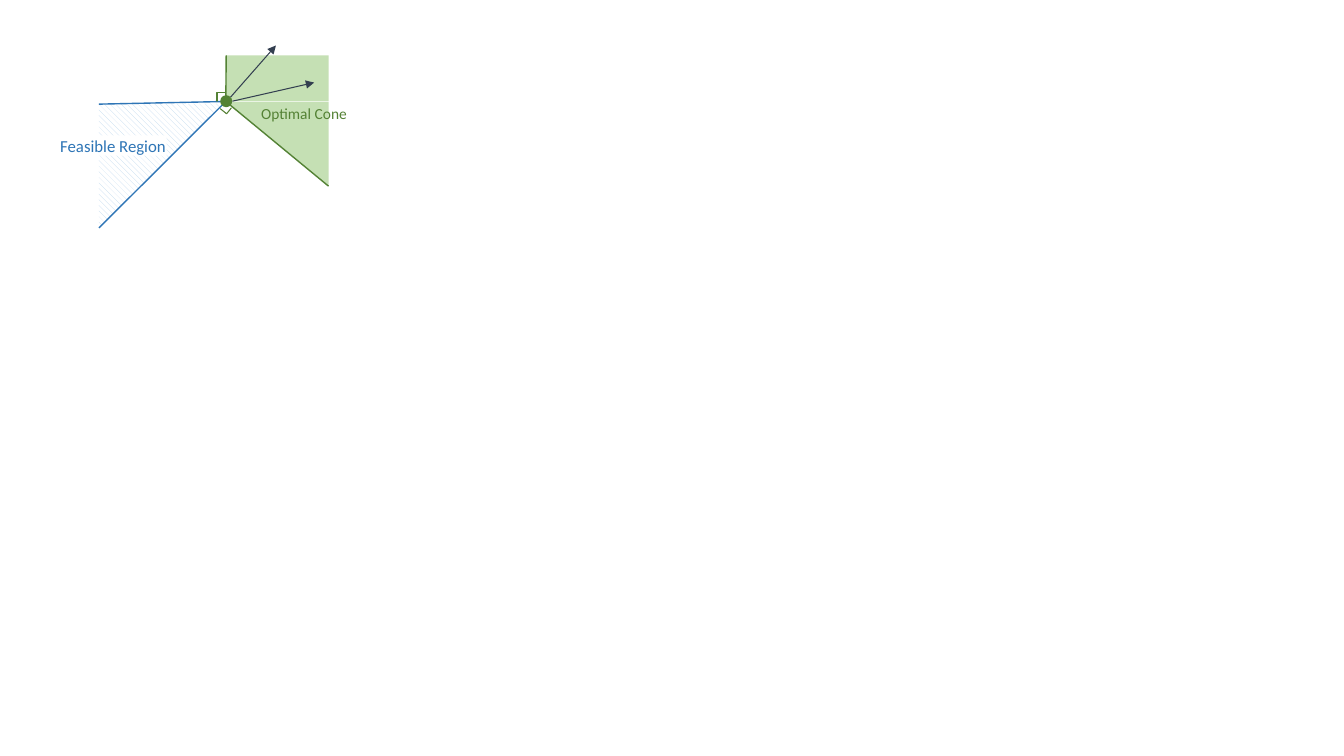
from lxml import etree
from pptx import Presentation
from pptx.dml.color import RGBColor
from pptx.enum import dml, shapes, text
from pptx.oxml import ns
from pptx.util import Pt

BLUE, PALE_BLUE = "2E75B6", "BDD7EE"
GREEN, PALE_GREEN = "548235", "C5E0B4"
NAVY, RED, WHITE = "333F50", "C00000", "FFFFFF"
KIND = shapes.MSO_SHAPE


def color(value):
    return RGBColor.from_string(value)


class Diagram:
    """Holds the font and the group on the current slide."""

    font = "Calibri"

    def __init__(self, page):
        self.items = page.shapes.add_group_shape().shapes

    def shape(self, kind, left, top, width, height, fill, line=None, turn=0):
        item = self.items.add_shape(kind, Pt(left), Pt(top), Pt(width), Pt(height))
        item.shadow.inherit = False
        item.rotation = turn
        item.fill.solid()
        item.fill.fore_color.rgb = color(fill)
        if line:
            item.line.color.rgb = color(line)
            item.line.width = Pt(0.75)
        else:
            item.line.fill.background()
        return item

    def hatch(self, item, front, back):
        item.fill.patterned()
        item.fill.pattern = dml.MSO_PATTERN.WIDE_DOWNWARD_DIAGONAL
        item.fill.fore_color.rgb = color(front)
        item.fill.back_color.rgb = color(back)

    def right_angle(self, left, top, width, height, turn):
        """Draw an L-shaped mark whose arms have no thickness."""
        mark = self.shape(KIND.RECTANGLE, left, top, width, height, RED, GREEN, turn)
        geometry = mark._element.spPr.find(ns.qn("a:prstGeom"))
        geometry.set("prst", "corner")
        guides = geometry.find(ns.qn("a:avLst"))
        for name in ("adj1", "adj2"):
            etree.SubElement(guides, ns.qn("a:gd"), name=name, fmla="val 0")

    def line(self, start, end, ink, width=1, arrow=False):
        item = self.items.add_connector(
            shapes.MSO_CONNECTOR.STRAIGHT, *(Pt(value) for value in (*start, *end)))
        item.line.color.rgb = color(ink)
        item.line.width = Pt(width)
        if arrow:
            outline = item.line._get_or_add_ln()
            etree.SubElement(outline, ns.qn("a:tailEnd"), type="triangle")
        etree.SubElement(item._element.spPr, ns.qn("a:effectLst"))

    def label(self, words, left, top, width, height, size, ink):
        box = self.items.add_textbox(Pt(left), Pt(top), Pt(width), Pt(height))
        frame = box.text_frame
        frame.margin_left = frame.margin_right = 0
        frame.margin_top = frame.margin_bottom = 0
        frame.word_wrap = False
        frame.auto_size = text.MSO_AUTO_SIZE.SHAPE_TO_FIT_TEXT
        frame.text = words
        span = frame.paragraphs[0].runs[0]
        span.font.name = self.font
        span.font.size = Pt(size)
        span.font.color.rgb = color(ink)
        return box


def main():
    deck = Presentation()
    deck.slide_width, deck.slide_height = Pt(960), Pt(540)
    diagram = Diagram(deck.slides.add_slide(deck.slide_layouts[6]))
    vertex = (161.3, 72.5)
    cone_right, cone_top = 234.7, 39.6
    cone_width = cone_right - vertex[0]

    region = diagram.shape(KIND.RIGHT_TRIANGLE, 71.3, 73.4, 88.6, 90, WHITE, turn=90)
    diagram.hatch(region, PALE_BLUE, WHITE)
    diagram.shape(KIND.RIGHT_TRIANGLE, *vertex, cone_width, 60.5, PALE_GREEN, turn=180)
    diagram.shape(KIND.RECTANGLE, vertex[0], cone_top, cone_width, 32.5, PALE_GREEN)

    for end in ((70.7, 162.8), (70.7, 74.4)):
        diagram.line(vertex, end, BLUE)
    diagram.shape(KIND.OVAL, 157.3, 68, 8.6, 8.6, GREEN)
    diagram.label("Optimal Cone", 186.5, 74.2, 62, 13.5, 11, GREEN)
    diagram.right_angle(155, 66.4, 5.8, 5.8, 90)
    diagram.line(vertex, (161.6, cone_top), GREEN)

    name = diagram.label("Feasible Region", 43, 96.7, 76, 14.5, 12, BLUE)
    name.fill.solid()
    name.fill.fore_color.rgb = color(WHITE)

    diagram.right_angle(158.6, 74.5, 5.3, 5.8, 309)
    diagram.line(vertex, (cone_right, 133), GREEN)
    diagram.line((164.7, 69.4), (197.1, 32.5), NAVY, 0.75, arrow=True)
    diagram.line((166, 72.3), (224.4, 59), NAVY, 0.75, arrow=True)
    deck.save("out.pptx")


if __name__ == "__main__":
    main()
